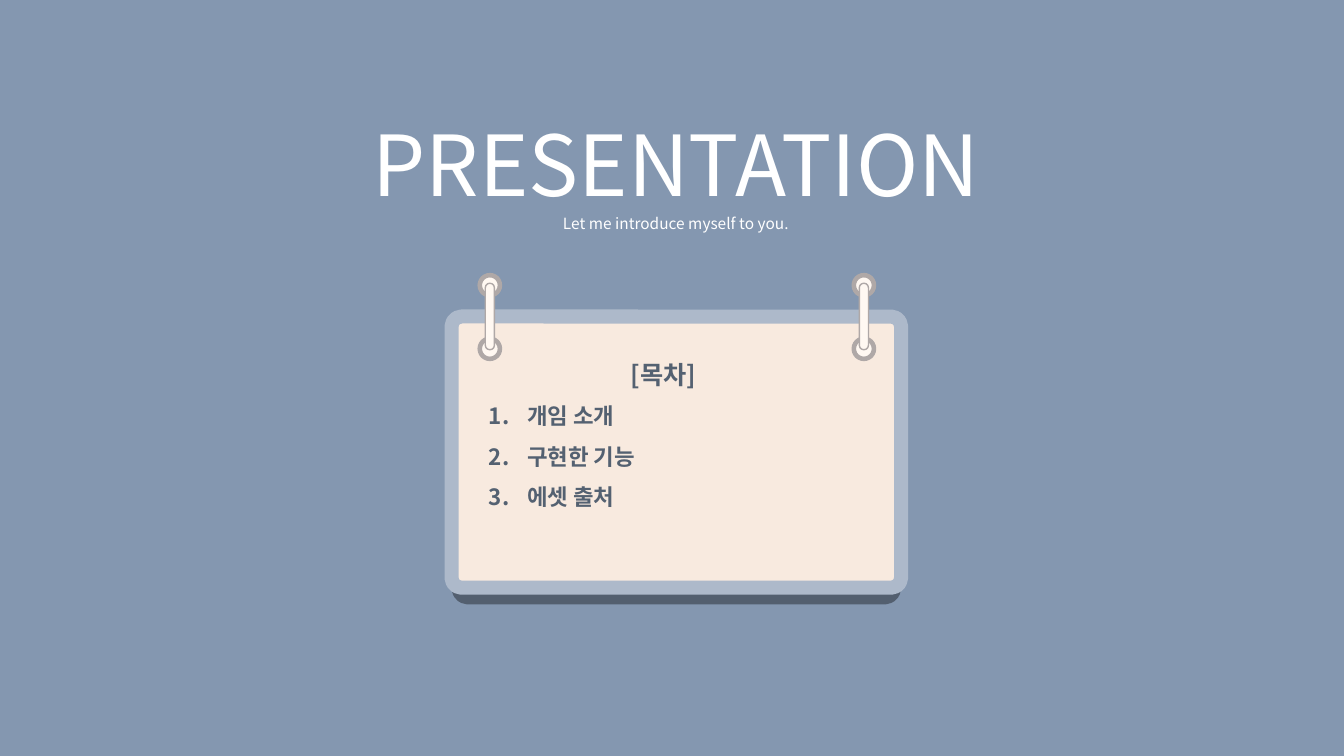
from dataclasses import dataclass
from typing import Optional

from lxml import etree
from pptx import Presentation
from pptx.dml.color import RGBColor
from pptx.enum.shapes import MSO_SHAPE
from pptx.enum.text import MSO_ANCHOR, MSO_AUTO_SIZE, PP_ALIGN
from pptx.oxml.ns import qn
from pptx.util import Inches, Pt

OVAL = MSO_SHAPE.OVAL
ROUNDED = MSO_SHAPE.ROUNDED_RECTANGLE
CENTER, LEFT = PP_ALIGN.CENTER, PP_ALIGN.LEFT
TOP = MSO_ANCHOR.TOP
GROW = MSO_AUTO_SIZE.SHAPE_TO_FIT_TEXT
SLIDE_WIDTH, SLIDE_HEIGHT = Inches(13.333), Inches(7.5)


@dataclass(frozen=True)
class Theme:
    font: str = "Noto Sans CJK KR"
    background: str = "8497B0"
    paper: str = "F8EADF"
    frame: str = "ADB9CA"
    ring_fill: str = "FFF8F2"
    ring_line: str = "AFA8A7"
    light: str = "FFFFFF"
    ink: str = "546171"
    shadow: str = "000000"
    title_size: int = 60
    subtitle_size: int = 11
    heading_size: int = 18
    item_size: int = 16


@dataclass(frozen=True)
class Area:
    """Shares of the slide's width and height, in percent."""
    left: float
    top: float
    width: float
    height: float

    def lengths(self) -> tuple:
        return (int(SLIDE_WIDTH * self.left / 100), int(SLIDE_HEIGHT * self.top / 100),
                int(SLIDE_WIDTH * self.width / 100), int(SLIDE_HEIGHT * self.height / 100))


@dataclass(frozen=True)
class RingPart:
    kind: int
    area: Area
    line_width: float


THEME = Theme()
SIGN = Area(33.6, 41.87, 33.45, 35.87)
TITLE = Area(25.28, 14.27, 50.03, 17.33)
CONTENTS = Area(35.63, 44.8, 27.45, 22.67)
RING_LEFTS = (35.7, 63.53)
RING_PARTS = (
    RingPart(OVAL, Area(0, 44.8, 1.5, 2.67), 3.25),
    RingPart(OVAL, Area(0, 36.4, 1.5, 2.67), 3.25),
    RingPart(ROUNDED, Area(0.41, 37.47, 0.68, 8.8), 1),
)
ITEMS = ("개임 소개", "구현한 기능", "에셋 출처")


def draw_shape(shapes, kind: int, area: Area, fill: str, line: str, line_width: float,
               rounding: Optional[float] = None):
    shape = shapes.add_shape(kind, *area.lengths())
    shape.shadow.inherit = False
    shape.fill.solid()
    shape.fill.fore_color.rgb = RGBColor.from_string(fill)
    shape.line.color.rgb = RGBColor.from_string(line)
    shape.line.width = Pt(line_width)
    if rounding is not None:
        shape.adjustments[0] = rounding
    return shape


def add_shadow(shape, color: str, opacity: int, distance: float, scale: int) -> None:
    effects = shape._element.spPr.find(qn("a:effectLst"))
    shadow = etree.SubElement(effects, qn("a:outerShdw"), blurRad="0", dist=str(Pt(distance)),
                              dir="5400000", sx=str(scale * 1000), sy=str(scale * 1000),
                              algn="ctr", rotWithShape="0")
    tint = etree.SubElement(shadow, qn("a:srgbClr"), val=color)
    etree.SubElement(tint, qn("a:alpha"), val=str(opacity * 1000))


def draw_ring(slide, left: float) -> None:
    ring = slide.shapes.add_group_shape()
    for part in RING_PARTS:
        area = Area(left + part.area.left, part.area.top, part.area.width, part.area.height)
        draw_shape(ring.shapes, part.kind, area, THEME.ring_fill, THEME.ring_line,
                   part.line_width, 0.5 if part.kind == ROUNDED else None)


def place(placeholder, area: Area):
    placeholder.left, placeholder.top, placeholder.width, placeholder.height = area.lengths()
    frame = placeholder.text_frame
    frame.word_wrap = True
    frame.auto_size = GROW
    frame.vertical_anchor = TOP
    return frame


def write(frame, text: str, *, size: float, color: str, bold: bool = False,
          align: int = CENTER, spacing: float = 1.0, numbered: bool = False) -> None:
    paragraph = frame.paragraphs[0] if not frame.text else frame.add_paragraph()
    paragraph.alignment = align
    paragraph.line_spacing = spacing
    paragraph.space_before = paragraph.space_after = Pt(0)
    properties = paragraph._p.get_or_add_pPr()
    indent = Inches(0.38) if numbered else 0
    properties.set("marL", str(indent))
    properties.set("indent", str(-indent))
    if numbered:
        etree.SubElement(properties, qn("a:buFont"), typeface="+mj-lt")
        etree.SubElement(properties, qn("a:buAutoNum"), type="arabicPeriod")
    else:
        etree.SubElement(properties, qn("a:buNone"))
    run = paragraph.add_run()
    run.text = text
    run.font.size = Pt(size)
    run.font.bold = bold
    run.font.name = THEME.font
    run.font.color.rgb = RGBColor.from_string(color)
    latin = run._r.rPr.find(qn("a:latin"))
    latin.addnext(etree.Element(qn("a:ea"), typeface=THEME.font))


def main() -> None:
    presentation = Presentation()
    presentation.slide_width, presentation.slide_height = SLIDE_WIDTH, SLIDE_HEIGHT
    slide = presentation.slides.add_slide(presentation.slide_layouts[1])
    slide.background.fill.solid()
    slide.background.fill.fore_color.rgb = RGBColor.from_string(THEME.background)
    title, contents = slide.placeholders

    sign = draw_shape(slide.shapes, ROUNDED, SIGN, THEME.paper, THEME.frame, 10, 0.036)
    add_shadow(sign, THEME.shadow, opacity=36, distance=10, scale=97)
    for left in RING_LEFTS:
        draw_ring(slide, left)

    title_frame = place(title, TITLE)
    write(title_frame, "PRESENTATION", size=THEME.title_size, color=THEME.light)
    write(title_frame, "Let me introduce myself to you.",
          size=THEME.subtitle_size, color=THEME.light)

    contents_frame = place(contents, CONTENTS)
    write(contents_frame, "[목차]", size=THEME.heading_size, color=THEME.ink,
          bold=True, spacing=1.5)
    for item in ITEMS:
        write(contents_frame, item, size=THEME.item_size, color=THEME.ink, bold=True,
              align=LEFT, spacing=1.5, numbered=True)

    for placeholder in (title, contents):
        slide.shapes._spTree.append(placeholder._element)
    presentation.save("out.pptx")


if __name__ == "__main__":
    main()
